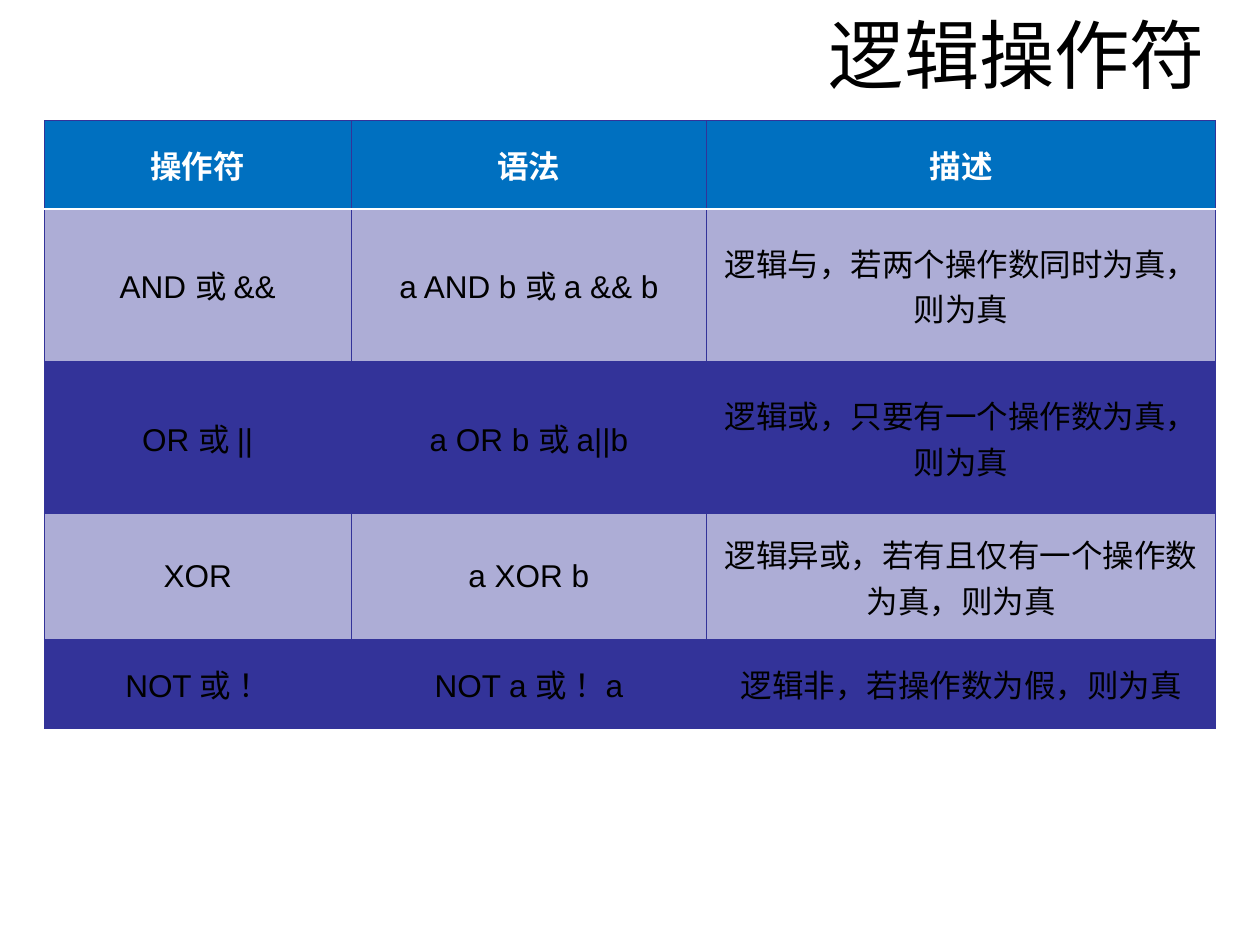
import pptx
import pptx.dml.color
import pptx.enum.text
import pptx.oxml.ns
import pptx.util
import lxml.etree

Pt = pptx.util.Pt
RGBColor = pptx.dml.color.RGBColor
qn = pptx.oxml.ns.qn
ALIGN = pptx.enum.text.PP_ALIGN
MIDDLE = pptx.enum.text.MSO_ANCHOR.MIDDLE

BLACK = RGBColor(0x00, 0x00, 0x00)
WHITE = RGBColor(0xFF, 0xFF, 0xFF)
HEADER_BLUE = RGBColor(0x00, 0x70, 0xC0)
LAVENDER = RGBColor(0xAD, 0xAD, 0xD6)
INDIGO = RGBColor(0x33, 0x33, 0x99)

LATIN_FONT = "Arial"
CHINESE_FONT = "Noto Sans CJK SC"

COLUMN_WIDTHS = [175.5, 203, 291]
ROW_HEIGHTS = [50.4, 87.1, 87.1, 72, 50.4]
OPERATORS = [
    ["操作符", "语法", "描述"],
    ["AND 或 &&", "a AND b 或 a && b", "逻辑与，若两个操作数同时为真，则为真"],
    ["OR 或 ||", "a OR b 或 a||b", "逻辑或，只要有一个操作数为真，则为真"],
    ["XOR", "a XOR b", "逻辑异或，若有且仅有一个操作数为真，则为真"],
    ["NOT 或 ！", "NOT a 或 ！a", "逻辑非，若操作数为假，则为真"],
]


def write_text(frame, text, size, color, align, latin=LATIN_FONT, bold=False):
    para = frame.paragraphs[0]
    para.text = text
    para.alignment = align
    font = para.font
    font.size = Pt(size)
    font.bold = bold
    font.color.rgb = color
    font.name = latin
    defaults = para._p.pPr.find(qn("a:defRPr"))
    lxml.etree.SubElement(defaults, qn("a:ea"), typeface=CHINESE_FONT)


def add_border(cell, side, color, width):
    properties = cell._tc.get_or_add_tcPr()
    line = lxml.etree.SubElement(properties, qn(f"a:ln{side}"), w=str(Pt(width)))
    fill = lxml.etree.SubElement(line, qn("a:solidFill"))
    lxml.etree.SubElement(fill, qn("a:srgbClr"), val=str(color))


def add_title(page, left, top, width, height):
    box = page.shapes.add_textbox(Pt(left), Pt(top), Pt(width), Pt(height))
    frame = box.text_frame
    frame.word_wrap = True
    frame.vertical_anchor = MIDDLE
    write_text(frame, "逻辑操作符", 43, BLACK, ALIGN.RIGHT, latin=CHINESE_FONT)


def style_cell(cell, row, text):
    is_header = row == 0
    header_edge = {0: "B", 1: "T"}.get(row)
    for side in "LRTB":
        if side == header_edge:
            add_border(cell, side, WHITE, 0.96)
        else:
            add_border(cell, side, INDIGO, 0.34)
    cell.fill.solid()
    cell.fill.fore_color.rgb = HEADER_BLUE if is_header else (INDIGO, LAVENDER)[row % 2]
    cell.vertical_anchor = MIDDLE
    color = WHITE if is_header else BLACK
    write_text(cell.text_frame, text, 18, color, ALIGN.CENTER, bold=is_header)


def add_operator_table(page, left, top):
    frame = page.shapes.add_table(
        len(ROW_HEIGHTS), len(COLUMN_WIDTHS), Pt(left), Pt(top),
        Pt(sum(COLUMN_WIDTHS)), Pt(sum(ROW_HEIGHTS)),
    )
    table = frame.table
    for column, width in zip(table.columns, COLUMN_WIDTHS):
        column.width = Pt(width)
    for row, height in enumerate(ROW_HEIGHTS):
        table.rows[row].height = Pt(height)
        for column, text in enumerate(OPERATORS[row]):
            style_cell(table.cell(row, column), row, text)


def main():
    deck = pptx.Presentation()
    deck.slide_width = Pt(720)
    deck.slide_height = Pt(540)
    page = deck.slides.add_slide(deck.slide_layouts[6])
    add_title(page, 200, 6, 495.5, 49.5)
    add_operator_table(page, 25.2, 69)
    deck.save("out.pptx")


if __name__ == "__main__":
    main()
